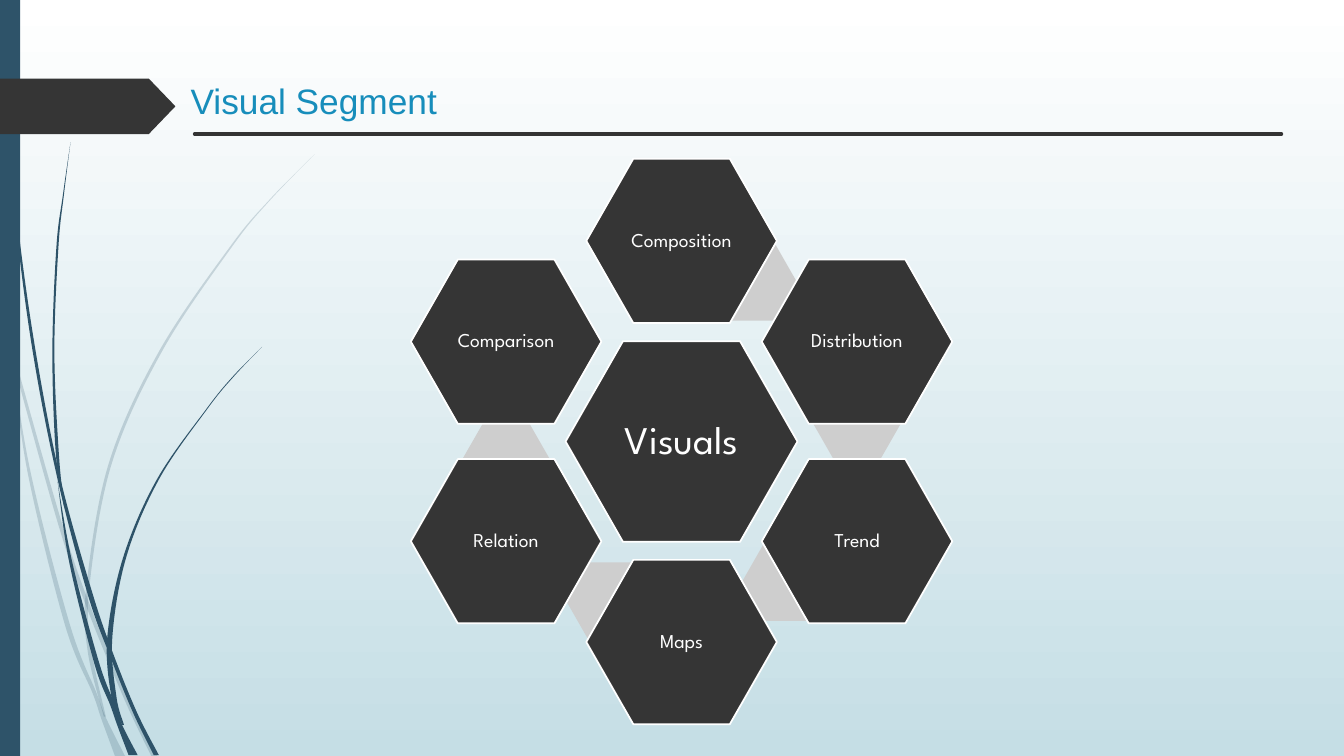
from pptx import Presentation
from pptx.dml.color import RGBColor
from pptx.enum.shapes import MSO_CONNECTOR as Connector, MSO_SHAPE as Preset
from pptx.enum.text import MSO_ANCHOR as Anchor, PP_ALIGN as Align
from pptx.oxml.ns import qn
from pptx.util import Inches, Pt
from lxml.etree import SubElement

WIDTH, HEIGHT = 13.33, 7.5
CENTRE_X, CENTRE_Y = 6.76, 4.38
COLUMN, ROW = 1.74, 0.99
UNITS = 1000
COLORS = {
    "white": "FFFFFF", "mist": "C5DEE5", "stem": "2E5369", "dark": "353535",
    "rule": "333333", "title": "178DBB", "link": "CECECE",
}
SEGMENTS = [
    ("Composition", 0, -2.01), ("Distribution", 1, -1), ("Trend", 1, 1),
    ("Maps", 0, 2.01), ("Relation", -1, 1), ("Comparison", -1, -1),
]
LINKS = [(0.41, -1.59), (1, -0.18), (0.59, 1.42), (-0.41, 1.59), (-1, 0.18)]
FAINT_STEMS = [
    [(0, 2.9, 0.04), (0.1, 3.38, 0.03), (0.17, 3.68, 0.03), (0.6, 5.21, 0.04),
     (0.87, 6, 0.04), (1.25, 6.93, 0.04), (1.53, 7.5, 0.06)],
    [(0.11, 3.5, 0), (0.29, 4.69, 0.03), (0.67, 6.2, 0.05), (0.94, 6.88, 0.04),
     (1.03, 7.13, 0.05), (1.19, 7.5, 0.1)],
    [(3.12, 1.53, 0), (2.68, 1.98, 0.01), (2.29, 2.45, 0.02), (1.59, 3.49, 0.03),
     (1.09, 4.61, 0.03), (0.87, 5.84, 0.03), (0.89, 6.46, 0.04), (1.04, 7.11, 0.02)],
]
DARK_STEMS = [
    [(0.04, 0, 0.01), (0.07, 1.1, 0.01), (0.18, 2.33, 0.02), (0.35, 3.55, 0.03),
     (0.59, 4.77, 0.03), (0.9, 5.91, 0.05), (1.12, 6.53, 0.04), (1.34, 7.07, 0.04),
     (1.55, 7.49, 0.05)],
    [(0.57, 4.77, 0), (0.7, 5.57, 0.03), (0.96, 6.58, 0.05), (1.12, 7, 0.05),
     (1.19, 7.2, 0.05), (1.32, 7.49, 0.09)],
    [(0.7, 1.41, 0), (0.63, 1.93, 0.01), (0.57, 2.45, 0.02), (0.53, 3.49, 0.02),
     (0.57, 4.51, 0.03), (0.64, 5.05, 0)],
    [(2.6, 3.44, 0), (2.31, 3.74, 0.01), (2.05, 4.06, 0.01), (1.57, 4.75, 0.02),
     (1.24, 5.52, 0.03), (1.09, 6.32, 0.05), (1.13, 6.91, 0.05), (1.22, 7.19, 0.02)],
]


def color(name):
    return RGBColor.from_string(COLORS[name])


def paint(shape, fill, line=None):
    shape.shadow.inherit = False
    shape.fill.solid()
    shape.fill.fore_color.rgb = color(fill)
    if line:
        shape.line.color.rgb = color(line)
        shape.line.width = Pt(1.25)
    else:
        shape.line.fill.background()


def add_preset(page, preset, left, top, width, height, fill, line=None):
    shape = page.shapes.add_shape(
        preset, Inches(left), Inches(top), Inches(width), Inches(height))
    paint(shape, fill, line)
    return shape


def add_hexagon(page, column, row, width, height, fill, line=None):
    left = CENTRE_X + column * COLUMN - width / 2
    top = CENTRE_Y + row * ROW - height / 2
    hexagon = add_preset(page, Preset.HEXAGON, left, top, width, height, fill, line)
    hexagon.adjustments[0] = 0.286
    return hexagon


def add_label(hexagon, words, size):
    frame = hexagon.text_frame
    frame.text = words
    frame.word_wrap = True
    frame.vertical_anchor = Anchor.MIDDLE
    frame.margin_left = frame.margin_right = Inches(0.02)
    frame.margin_top = frame.margin_bottom = Inches(0.02)
    para = frame.paragraphs[0]
    para.alignment = Align.CENTER
    para.line_spacing = 0.9
    format_span(para.runs[0], "League Spartan", size, "white")


def format_span(span, font, size, tint):
    span.font.name = font
    span.font.size = Pt(size)
    span.font.color.rgb = color(tint)


def curve_points(edge):
    padded = [edge[0], *edge, edge[-1]]
    points = []
    for a, b, c, d in zip(padded, padded[1:], padded[2:], padded[3:]):
        points.append([q + (r - p) / 6 for p, q, r in zip(a, b, c)])
        points.append([r - (s - q) / 6 for q, r, s in zip(b, c, d)])
        points.append(c)
    return points


def bend_lines(shape):
    outline = next(shape._element.iter(qn("a:path")))
    lines = outline.findall(qn("a:lnTo"))
    for first, second, third in zip(lines[::3], lines[1::3], lines[2::3]):
        curve = first.makeelement(qn("a:cubicBezTo"))
        first.addprevious(curve)
        for line in (first, second, third):
            curve.append(line[0])
            outline.remove(line)


def add_stem(page, knots, opacity=100):
    left_edge = [(x - thick / 2, y) for x, y, thick in knots]
    right_edge = [(x + thick / 2, y) for x, y, thick in reversed(knots)]
    tip = [right_edge[0]] * 3
    outline = curve_points(left_edge) + tip + curve_points(right_edge)
    start, *rest = [
        (round(x * UNITS), round(y * UNITS)) for x, y in [left_edge[0], *outline]]
    builder = page.shapes.build_freeform(*start, scale=Inches(1) / UNITS)
    builder.add_line_segments(rest, close=True)
    stem = builder.convert_to_shape()
    bend_lines(stem)
    paint(stem, "stem")
    if opacity < 100:
        tint = next(stem._element.spPr.iter(qn("a:srgbClr")))
        SubElement(tint, qn("a:alpha")).set("val", str(opacity * 1000))


def add_rule(page, left, right, y):
    rule = page.shapes.add_connector(
        Connector.STRAIGHT, Inches(left), Inches(y), Inches(right), Inches(y))
    rule.line.color.rgb = color("rule")
    rule.line.width = Pt(2.5)
    properties = rule._element.spPr
    properties.find(qn("a:ln")).set("cap", "rnd")
    SubElement(properties, qn("a:effectLst"))


def set_background(page):
    fill = page.background.fill
    fill.gradient()
    fill.gradient_angle = 270
    for stop, name in zip(fill.gradient_stops, ("white", "mist")):
        stop.color.rgb = color(name)


def set_title(page, words):
    title = page.shapes.title
    title.left, title.top = Inches(1.79), Inches(0.7)
    title.width, title.height = Inches(9.75), Inches(0.59)
    title.text_frame.text = words
    title.text_frame.vertical_anchor = Anchor.MIDDLE
    para = title.text_frame.paragraphs[0]
    para.alignment = Align.LEFT
    format_span(para.runs[0], "Arial", 25.2, "title")


def add_decoration(page):
    for knots in FAINT_STEMS:
        add_stem(page, knots, opacity=20)
    for knots in DARK_STEMS:
        add_stem(page, knots)
    add_preset(page, Preset.RECTANGLE, 0, 0, 0.2, HEIGHT, "stem")
    arrow = add_preset(page, Preset.PENTAGON, 0, 0.78, 1.74, 0.55, "dark")
    arrow.adjustments[0] = 0.48
    add_rule(page, 1.93, 12.71, 1.33)


def add_ring(page):
    for column, row in LINKS:
        add_hexagon(page, column, row, 0.87, 0.75, "link")
    hub = add_hexagon(page, 0, 0, 2.3, 1.99, "dark", "white")
    add_label(hub, "Visuals", 28)
    for words, column, row in SEGMENTS:
        segment = add_hexagon(page, column, row, 1.89, 1.63, "dark", "white")
        add_label(segment, words, 14)


def main():
    deck = Presentation()
    deck.slide_width, deck.slide_height = Inches(WIDTH), Inches(HEIGHT)
    page = deck.slides.add_slide(deck.slide_layouts[5])
    set_background(page)
    add_decoration(page)
    set_title(page, "Visual Segment")
    add_ring(page)
    deck.save("out.pptx")


main()
